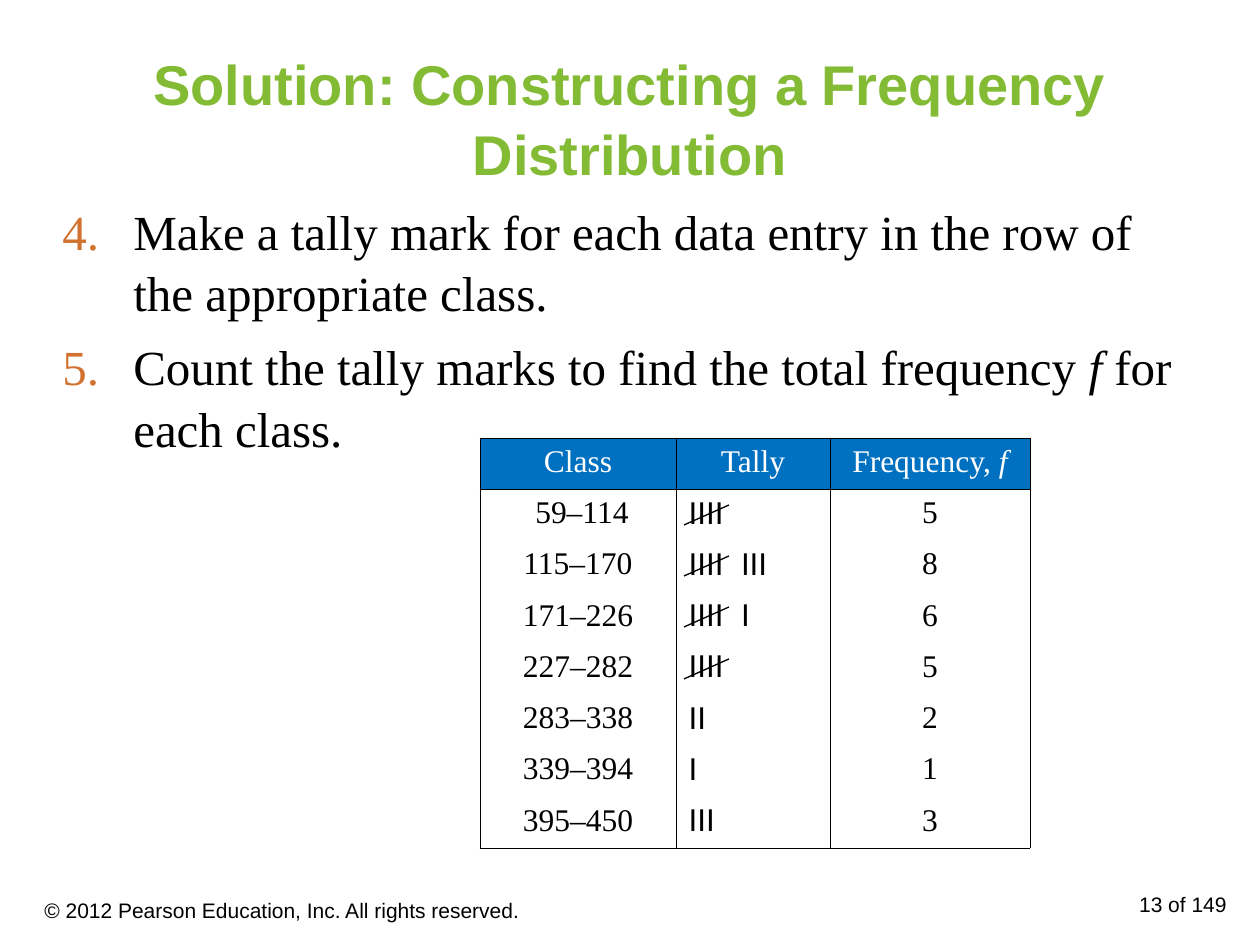
"""Build the slide on tallying a frequency distribution."""
from dataclasses import dataclass

from lxml import etree
from pptx import Presentation
from pptx.dml.color import RGBColor
from pptx.enum.shapes import MSO_CONNECTOR
from pptx.enum.text import MSO_ANCHOR, PP_ALIGN
from pptx.oxml.ns import qn
from pptx.util import Emu, Pt

LEFT, MID, RIGHT = PP_ALIGN.LEFT, PP_ALIGN.CENTER, PP_ALIGN.RIGHT
TOP, CENTER = MSO_ANCHOR.TOP, MSO_ANCHOR.MIDDLE
STRAIGHT = MSO_CONNECTOR.STRAIGHT


@dataclass(frozen=True)
class Theme:
    sans: str = "Arial"
    serif: str = "Times New Roman"
    ink: str = "000000"
    white: str = "FFFFFF"
    green: str = "83BB35"
    orange: str = "D17230"
    blue: str = "0070C0"
    title: int = 32
    body: int = 28
    cell: int = 18
    note: int = 12
    lead: float = 1.05
    gap: int = 7
    rule: float = 0.45
    stroke: float = 0.75


def px(n):
    return Emu(round(n * 914400 / 126))


class Deck:
    def __init__(self, theme):
        self.theme = theme
        self.prs = Presentation()
        self.prs.slide_width, self.prs.slide_height = px(1260), px(945)
        self.slide = self.prs.slides.add_slide(self.prs.slide_layouts[6])

    def label(self, para, text, size, font, color, align=LEFT, bold=False):
        """Fill a paragraph; parts between bars are italic."""
        para.alignment = align
        for i, part in enumerate(text.split("|")):
            if not part:
                continue
            run = para.add_run()
            run.text = part
            run.font.size, run.font.name = Pt(size), font
            run.font.bold, run.font.italic = bold, i % 2 == 1
            run.font.color.rgb = RGBColor.from_string(color)

    def frame(self, box, anchor=TOP):
        shape = self.slide.shapes.add_textbox(*map(px, box))
        frame = shape.text_frame
        frame.word_wrap, frame.vertical_anchor = True, anchor
        return frame

    def title(self, box, text):
        t = self.theme
        para = self.frame(box, CENTER).paragraphs[0]
        para.line_spacing = t.lead
        self.label(para, text, t.title, t.sans, t.green, MID, True)

    def note(self, box, text, align=LEFT, anchor=TOP):
        t = self.theme
        para = self.frame(box, anchor).paragraphs[0]
        self.label(para, text, t.note, t.sans, t.ink, align)

    def steps(self, box, items, start, indent):
        t = self.theme
        frame = self.frame(box)
        for i, text in enumerate(items):
            para = frame.add_paragraph() if i else frame.paragraphs[0]
            props = para._p.get_or_add_pPr()
            props.set("marL", str(px(indent)))
            props.set("indent", str(-px(indent)))
            tint = etree.SubElement(props, qn("a:buClr"))
            etree.SubElement(tint, qn("a:srgbClr"), val=t.orange)
            etree.SubElement(props, qn("a:buAutoNum"),
                             type="arabicPeriod", startAt=str(start))
            para.line_spacing = t.lead
            if i:
                para.space_before = Pt(t.gap)
            self.label(para, text, t.body, t.serif, t.ink)

    def edges(self, cell, shown):
        props = cell._tc.get_or_add_tcPr()
        for side in "LRTB":
            line = etree.SubElement(props, qn("a:ln" + side),
                                    w=str(Pt(self.theme.rule)))
            if side in shown:
                fill = etree.SubElement(line, qn("a:solidFill"))
                etree.SubElement(fill, qn("a:srgbClr"), val=self.theme.ink)
            else:
                etree.SubElement(line, qn("a:noFill"))

    def table(self, box, widths, rows):
        t = self.theme
        last = len(rows) - 1
        table = self.slide.shapes.add_table(
            len(rows), len(widths), *map(px, box)).table
        table.first_row = table.horz_banding = False
        for col, width in zip(table.columns, widths):
            col.width = px(width)
        for r, row in enumerate(rows):
            for c, text in enumerate(row):
                cell = table.cell(r, c)
                shown = "LR" + "T" * (r < 2) + "B" * (r in (0, last))
                self.edges(cell, shown)
                if r == 0:
                    cell.fill.solid()
                    cell.fill.fore_color.rgb = RGBColor.from_string(t.blue)
                else:
                    cell.fill.background()
                tally = r > 0 and c == 1
                self.label(cell.text_frame.paragraphs[0], text, t.cell,
                           t.sans if tally else t.serif,
                           t.ink if r else t.white, LEFT if tally else MID)

    def line(self, x1, y1, x2, y2):
        link = self.slide.shapes.add_connector(
            STRAIGHT, px(x1), px(y1), px(x2), px(y2))
        link.line.width = Pt(self.theme.stroke)
        link.line.color.rgb = RGBColor.from_string(self.theme.ink)
        etree.SubElement(link._element.spPr, qn("a:effectLst"))


def main():
    deck = Deck(Theme())
    deck.title((63, 38, 1134, 157),
               "Solution: Constructing a Frequency Distribution")
    deck.steps((50, 192, 1134, 624), [
        "Make a tally mark for each data entry in the row of "
        "the appropriate class.",
        "Count the tally marks to find the total frequency |f| for "
        "each class.",
    ], 4, 71)

    rows = [
        ("Class", "Tally", "Frequency, |f|"),
        (" 59–114", "IIII", "5"),
        ("115–170", "IIII  III", "8"),
        ("171–226", "IIII  I", "6"),
        ("227–282", "IIII", "5"),
        ("283–338", "II", "2"),
        ("339–394", "I", "1"),
        ("395–450", "III", "3"),
    ]
    left, top, high = 480, 438, 410
    widths = (196, 154, 200)
    deck.table((left, top, sum(widths), high), widths, rows)

    deck.note((945, 885, 294, 50), "13 of 149", RIGHT)
    deck.note((32, 885, 598, 50),
              "© 2012 Pearson Education, Inc. All rights reserved.",
              anchor=CENTER)

    start = left + widths[0] + 8
    for r, row in enumerate(rows):
        if row[1].startswith("IIII"):
            y = top + high * r // len(rows) + 16
            deck.line(start + 45, y, start, y + 20)

    deck.prs.save("out.pptx")


if __name__ == "__main__":
    main()
